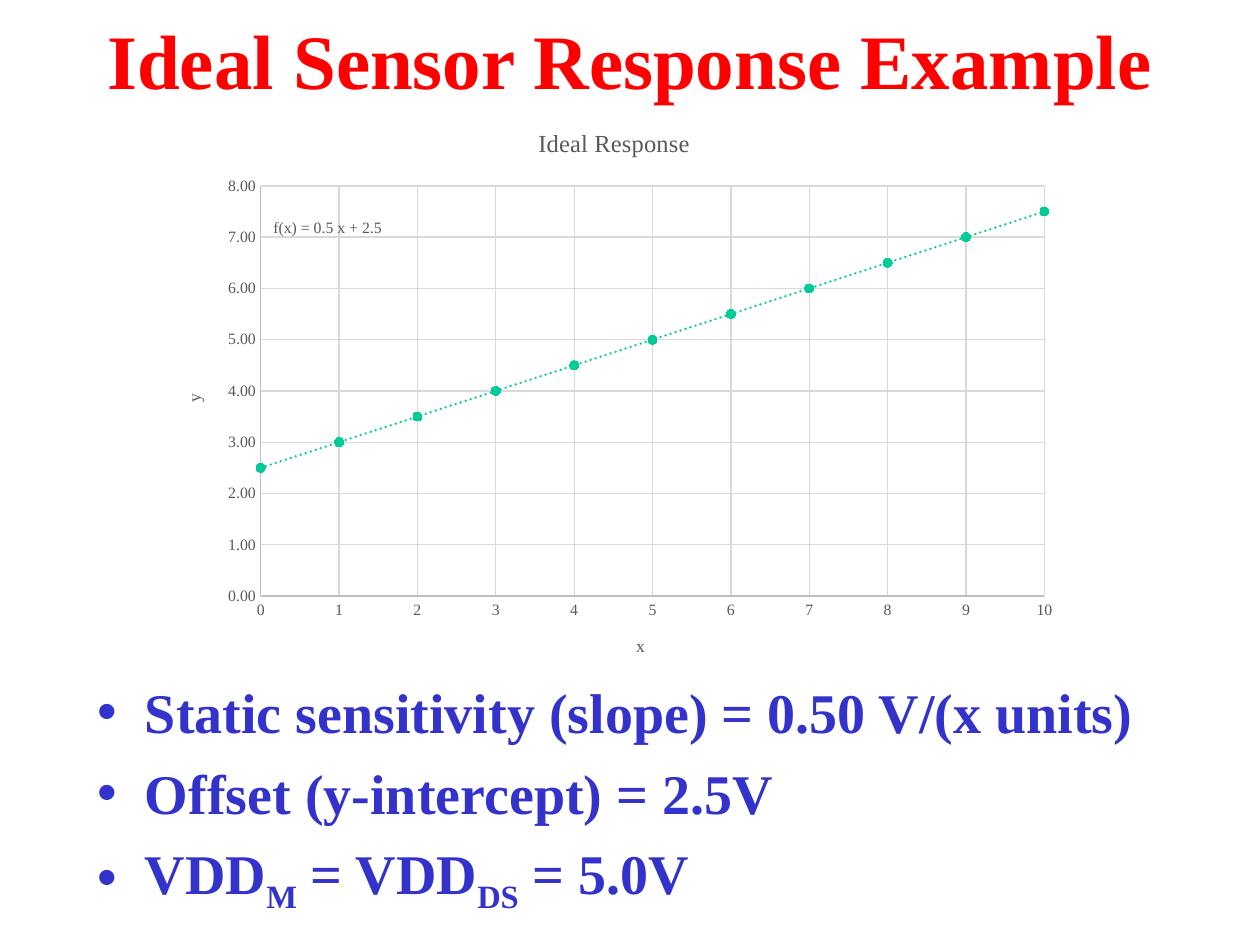
from lxml import etree
from pptx import Presentation
from pptx.chart.data import XyChartData
from pptx.dml.color import RGBColor
from pptx.enum import chart as ch, text as tx
from pptx.oxml import parse_xml
from pptx.oxml.ns import nsdecls, qn
from pptx.util import Inches, Pt

FONT = "Times New Roman"
RED, BLUE, GREEN = "FF0000", "3333CC", "00CC99"
GREY, AXIS, GRID = "595959", "BFBFBF", "D9D9D9"


def colour(value):
    return RGBColor.from_string(value)


def style_font(font, size, fill, bold=False):
    font.name, font.size, font.bold = FONT, Pt(size), bold
    font.color.rgb = colour(fill)


def write(para, words, baseline=0, **style):
    """Add one span of formatted text; baseline is a percentage."""
    span = para.add_run()
    span.text = words
    style_font(span.font, **style)
    if baseline:
        span.font._element.set("baseline", str(baseline * 1000))


def place(box, left, top, width, height):
    box.left, box.top = Inches(left), Inches(top)
    box.width, box.height = Inches(width), Inches(height)
    box.text_frame.word_wrap = True
    box.text_frame.auto_size = tx.MSO_AUTO_SIZE.NONE


def add_title(page, words, area):
    box = page.shapes.title
    place(box, *area)
    frame = box.text_frame
    frame.vertical_anchor = tx.MSO_ANCHOR.MIDDLE
    frame.margin_bottom = Inches(0.15)
    para = frame.paragraphs[0]
    para.alignment = tx.PP_ALIGN.CENTER
    write(para, words, size=44, fill=RED, bold=True)


def add_bullets(page, items, area):
    """Fill the body; each item is a list of (words, baseline) spans."""
    box = page.placeholders[1]
    place(box, *area)
    frame = box.text_frame
    frame.vertical_anchor = tx.MSO_ANCHOR.TOP
    for number, spans in enumerate(items):
        para = frame.add_paragraph() if number else frame.paragraphs[0]
        para.space_before = Pt(7.5)
        props = para._p.get_or_add_pPr()
        props.set("marL", str(Inches(0.38)))
        props.set("indent", str(-Inches(0.38)))
        etree.SubElement(props, qn("a:buChar")).set("char", "•")
        for words, baseline in spans:
            write(para, words, baseline, size=32, fill=BLUE, bold=True)


def set_chart_title(owner, words, size):
    owner.has_title = True
    title = getattr(owner, "chart_title", None) or owner.axis_title
    write(title.text_frame.paragraphs[0], words, size=size, fill=GREY)


def format_axis(axis, name, maximum, number_format):
    set_chart_title(axis, name, 10)
    axis.minimum_scale, axis.maximum_scale, axis.major_unit = 0, maximum, 1
    axis.major_tick_mark = axis.minor_tick_mark = ch.XL_TICK_MARK.NONE
    axis.has_major_gridlines = True
    for line, fill in ((axis.format.line, AXIS),
                       (axis.major_gridlines.format.line, GRID)):
        line.color.rgb, line.width = colour(fill), Pt(0.75)
    style_font(axis.tick_labels.font, 9, GREY)
    axis.tick_labels.number_format = number_format
    axis.tick_labels.number_format_is_linked = False


def add_trendline(series):
    """Add a dotted linear fit."""
    trend = parse_xml(
        f'<c:trendline {nsdecls("c", "a")}>'
        f'<c:spPr><a:ln w="{Pt(1.5)}" cap="rnd"><a:solidFill><a:srgbClr val="{GREEN}"/>'
        '</a:solidFill><a:prstDash val="sysDot"/></a:ln></c:spPr>'
        '<c:trendlineType val="linear"/><c:dispRSqr val="0"/><c:dispEq val="0"/>'
        '</c:trendline>')
    series._element.find(qn("c:xVal")).addprevious(trend)


def set_plot_area(chart, **fractions):
    area = chart._chartSpace.chart.plotArea
    for old in area.findall(qn("c:layout")):
        area.remove(old)
    parts = {"layoutTarget": "inner", "xMode": "edge", "yMode": "edge", **fractions}
    inner = "".join(f'<c:{key} val="{value}"/>' for key, value in parts.items())
    area.insert(0, parse_xml(f'<c:layout {nsdecls("c")}><c:manualLayout>{inner}'
                             '</c:manualLayout></c:layout>'))


def add_formula(page, words, area):
    box = page.shapes.add_textbox(*map(Inches, area))
    place(box, *area)
    frame = box.text_frame
    frame.margin_left = frame.margin_right = 0
    frame.margin_top = frame.margin_bottom = 0
    frame.vertical_anchor = tx.MSO_ANCHOR.MIDDLE
    write(frame.paragraphs[0], words, size=9, fill=GREY)


def add_response_chart(page, area):
    data = XyChartData()
    points = data.add_series("Series 1")
    for x in range(11):
        points.add_data_point(x, 2.5 + 0.5 * x)
    chart = page.shapes.add_chart(ch.XL_CHART_TYPE.XY_SCATTER,
                                  *map(Inches, area), data).chart
    style_font(chart.font, 10, "000000")
    chart.has_legend = False
    set_chart_title(chart, "Ideal Response", 14)
    chart.chart_title.include_in_layout = False
    format_axis(chart.category_axis, "x", 10, "General")
    format_axis(chart.value_axis, "y", 8, "0.00")
    set_plot_area(chart, x=0.113, y=0.141, w=0.858, h=0.711)

    chart.plots[0].vary_by_categories = False
    series = chart.plots[0].series[0]
    series.smooth = False
    series.format.line.fill.background()
    marker = series.marker
    marker.style, marker.size = ch.XL_MARKER_STYLE.CIRCLE, 5
    marker.format.fill.solid()
    marker.format.fill.fore_color.rgb = colour(GREEN)
    marker.format.line.color.rgb = colour(GREEN)
    add_trendline(series)

    left, top = area[:2]
    add_formula(page, "f(x) = 0.5 x + 2.5", (left + 0.92, top + 0.87, 1.2, 0.2))


def main():
    deck = Presentation()
    deck.slide_width, deck.slide_height = Inches(10), Inches(7.5)
    page = deck.slides.add_slide(deck.slide_layouts[1])
    add_title(page, "Ideal Sensor Response Example", (0, 0, 10, 1.03))
    add_bullets(page, [
        [("Static sensitivity (slope) = 0.50 V/(x units)", 0)],
        [("Offset (y-intercept) = 2.5V", 0)],
        [("VDD", 0), ("M", -25), (" = VDD", 0), ("DS", -25), (" = 5.0V", 0)],
    ], (0.67, 5.33, 8.94, 1.92))
    add_response_chart(page, (1.25, 0.83, 7.25, 4.58))
    deck.save("out.pptx")


if __name__ == "__main__":
    main()
